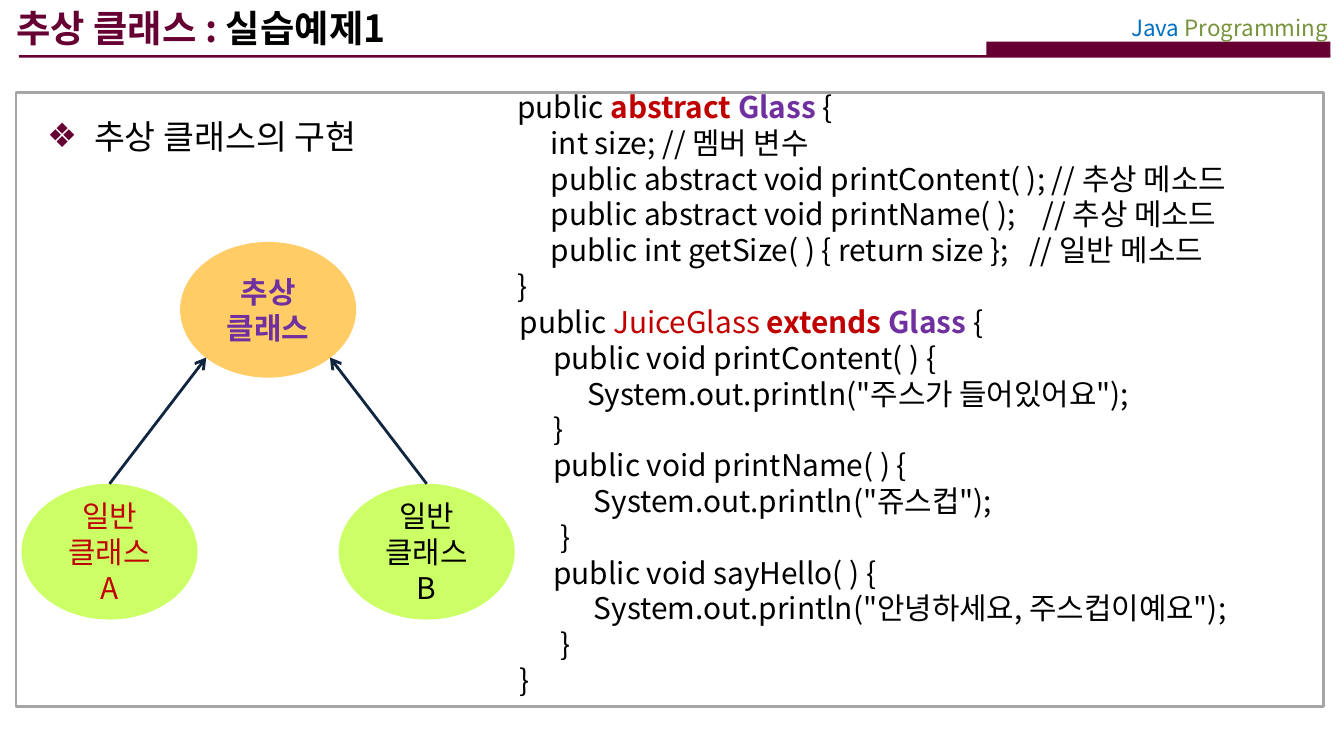
from dataclasses import dataclass

from lxml import etree
from pptx import Presentation
from pptx.dml.color import RGBColor
from pptx.enum.shapes import MSO_CONNECTOR, MSO_SHAPE
from pptx.enum.text import MSO_ANCHOR, MSO_AUTO_SIZE, PP_ALIGN
from pptx.oxml.ns import qn
from pptx.util import Inches, Pt

RECTANGLE, ELLIPSE = MSO_SHAPE.RECTANGLE, MSO_SHAPE.OVAL
ROUNDED = MSO_SHAPE.ROUNDED_RECTANGLE
STRAIGHT = MSO_CONNECTOR.STRAIGHT
TOP, MIDDLE = MSO_ANCHOR.TOP, MSO_ANCHOR.MIDDLE
LEFT, CENTER, RIGHT = PP_ALIGN.LEFT, PP_ALIGN.CENTER, PP_ALIGN.RIGHT
NO_AUTOFIT = MSO_AUTO_SIZE.NONE


@dataclass(frozen=True)
class Theme:
    font: str = "Noto Sans CJK KR"
    title: int = 20
    body: int = 18
    code: int = 16
    label: int = 12
    line_height: float = 1.2
    accent: str = "660033"
    black: str = "000000"
    red: str = "C00000"
    purple: str = "7030A0"
    blue: str = "0070C0"
    olive: str = "77933C"
    frame: str = "A6A6A6"
    arrow: str = "10253F"
    orange: str = "FFCC66"
    lime: str = "CCFF66"


THEME = Theme()


def rgb(color):
    return RGBColor.from_string(color)


def inches(*lengths):
    return [Inches(length) for length in lengths]


def add_xml(parent, tag, **attributes):
    return etree.SubElement(parent, qn(tag), attributes)


def prepare_frame(shape, anchor=TOP):
    frame = shape.text_frame
    frame.word_wrap = True
    frame.auto_size = NO_AUTOFIT
    frame.vertical_anchor = anchor
    frame.margin_left = frame.margin_right = Inches(0.1)
    frame.margin_top = frame.margin_bottom = Inches(0.05)
    return frame


def write_paragraph(paragraph, runs, size, color=THEME.black, bold=False, align=LEFT):
    """Runs are (text, colour, bold) or (text,) to keep the paragraph's font."""
    paragraph.alignment = align
    paragraph.line_spacing = Pt(size * THEME.line_height)
    paragraph.space_before = Pt(0)
    font = paragraph.font
    font.name, font.size, font.bold = THEME.font, Pt(size), bold
    font.color.rgb = rgb(color)
    defaults = paragraph._p.pPr.find(qn("a:defRPr"))
    east_asian = etree.Element(qn("a:ea"), typeface=THEME.font)
    defaults.find(qn("a:latin")).addnext(east_asian)
    for text, *style in runs:
        run = paragraph.add_run()
        run.text = text
        if style:
            run.font.color.rgb = rgb(style[0])
            run.font.bold = style[1]
    return defaults


def add_filled(slide, kind, box, color):
    shape = slide.shapes.add_shape(kind, *inches(*box))
    shape.shadow.inherit = False
    shape.fill.solid()
    shape.fill.fore_color.rgb = rgb(color)
    shape.line.fill.background()
    return shape


def place(shape, box):
    shape.left, shape.top, shape.width, shape.height = inches(*box)


# Header: title, rule with a thick end, course label
def build_header(slide, box):
    left, top, width, height = box
    rule_left, rule_right, rule_bottom = left + 0.14, left + 9.9, top + height
    for length, thickness, bottom in ((2.56, 0.11, rule_bottom - 0.01),
                                      (rule_right - rule_left, 0.02, rule_bottom)):
        add_filled(slide, RECTANGLE,
                   (rule_right - length, bottom - thickness, length, thickness),
                   THEME.accent)

    title = slide.shapes.title
    place(title, (left, top - 0.01, 6.97, 0.41))
    frame = prepare_frame(title)
    frame.margin_left = Inches(0.12)
    write_paragraph(frame.paragraphs[0],
                    [("추상 클래스 : ",), ("실습예제1", THEME.black, True)],
                    THEME.title, THEME.accent, bold=True)

    label = slide.shapes.add_textbox(*inches(left + width - 2.07, top + 0.06, 2.05, 0.3))
    write_paragraph(prepare_frame(label).paragraphs[0],
                    [("Java ",), ("Programming", THEME.olive, False)],
                    THEME.label, THEME.blue, align=RIGHT)


# Content frame with its bullet heading
def build_content(slide, box):
    left, top, width, height = box
    body = slide.placeholders[1]
    place(body, (left, top - 0.24, width + 0.02, height + 0.21))
    text_frame = prepare_frame(body)
    text_frame.margin_top = Inches(0.41)
    paragraph = text_frame.paragraphs[0]
    defaults = write_paragraph(paragraph, [("추상 클래스의 구현",)], THEME.body)
    properties = paragraph._p.pPr
    properties.set("marL", str(Inches(0.48)))
    properties.set("indent", str(-Inches(0.35)))
    bullet_color = etree.Element(qn("a:buClr"))
    add_xml(bullet_color, "a:srgbClr", val=THEME.accent)
    defaults.addprevious(bullet_color)
    defaults.addprevious(etree.Element(qn("a:buChar"), char="❖"))

    border = slide.shapes.add_shape(ROUNDED, *inches(*box))
    border.adjustments[0] = 0
    border.shadow.inherit = False
    border.fill.background()
    border.line.color.rgb = rgb(THEME.frame)
    border.line.width = Pt(1.5)


def add_class_node(slide, box, color, lines, text_color, bold=False):
    node = add_filled(slide, ELLIPSE, box, color)
    frame = prepare_frame(node, MIDDLE)
    for index, line in enumerate(lines):
        paragraph = frame.add_paragraph() if index else frame.paragraphs[0]
        write_paragraph(paragraph, [(line,)], THEME.code, text_color, bold, CENTER)


def add_arrow(slide, start, end):
    arrow = slide.shapes.add_connector(STRAIGHT, *inches(*start, *end))
    arrow.line.color.rgb = rgb(THEME.arrow)
    arrow.line.width = Pt(1.5)
    add_xml(arrow.line._get_or_add_ln(), "a:tailEnd", type="arrow")
    add_xml(arrow._element.spPr, "a:effectLst")


# Class tree: one abstract parent above two ordinary classes
def build_class_tree(slide, box):
    left, top, width, height = box
    node_width, node_height = 1.31, 1.01
    center = left + width / 2
    add_class_node(slide, (center - node_width / 2, top, node_width, node_height),
                   THEME.orange, ["추상 클래스"], THEME.purple, bold=True)
    child_top = top + height - node_height
    children = ((-1, ["일반", "클래스A"], THEME.red),
                (1, ["일반 클래스B"], THEME.black))
    for side, lines, color in children:
        child_center = center + side * (width - node_width) / 2
        add_class_node(slide, (child_center - node_width / 2, child_top,
                               node_width, node_height), THEME.lime, lines, color)
        add_arrow(slide, (child_center, child_top),
                  (center + side * 0.46, top + 0.86))


# Code listing: each line is its tab stops and its runs, parted by tabs
def build_code(slide, box, lines):
    frame = prepare_frame(slide.shapes.add_textbox(*inches(*box)))
    for index, (stops, *runs) in enumerate(lines):
        paragraph = frame.add_paragraph() if index else frame.paragraphs[0]
        if stops:
            runs[0] = ("\t" + runs[0][0],)
        defaults = write_paragraph(paragraph, runs, THEME.code)
        if stops:
            tabs = etree.Element(qn("a:tabLst"))
            for stop in stops:
                add_xml(tabs, "a:tab", pos=str(Inches(stop)), algn="l")
            defaults.addprevious(tabs)


ABSTRACT_CODE = [
    ((), ("public ",), ("abstract ", THEME.red, True),
     ("Glass", THEME.purple, True), (" {",)),
    ((0.25,), ("int size; // 멤버 변수",)),
    ((0.25,), ("public abstract void printContent( ); // 추상 메소드",)),
    ((0.25, 3.91), ("public abstract void printName( );\t// 추상 메소드",)),
    ((0.25, 3.81), ("public int getSize( ) { return size };\t// 일반 메소드",)),
    ((), ("}",)),
]
DERIVED_CODE = [
    ((), ("public ",), ("JuiceGlass ", THEME.red, False),
     ("extends ", THEME.red, True), ("Glass", THEME.purple, True), (" {",)),
    ((0.25,), ("public void printContent( ) {",)),
    ((0.5,), ('System.out.println("주스가 들어있어요");',)),
    ((0.25,), ("}",)),
    ((0.25,), ("public void printName( ) {",)),
    ((0.55,), ('System.out.println("쥬스컵");',)),
    ((0.3,), ("}",)),
    ((0.25,), ("public void sayHello( ) {",)),
    ((0.55,), ('System.out.println("안녕하세요, 주스컵이예요");',)),
    ((0.3,), ("}",)),
    ((), ("}",)),
]


def main():
    presentation = Presentation()
    # Widescreen, 16:9
    presentation.slide_width = Inches(10)
    presentation.slide_height = Inches(10) * 9 // 16
    slide = presentation.slides.add_slide(presentation.slide_layouts[1])
    build_header(slide, (0, 0, 10, 0.43))
    build_content(slide, (0.12, 0.69, 9.73, 4.57))
    build_class_tree(slide, (0.16, 1.8, 3.67, 2.81))
    build_code(slide, (3.75, 0.61, 5.9, 1.7), ABSTRACT_CODE)
    build_code(slide, (3.77, 2.21, 5.87, 3.03), DERIVED_CODE)
    presentation.save("out.pptx")


if __name__ == "__main__":
    main()
